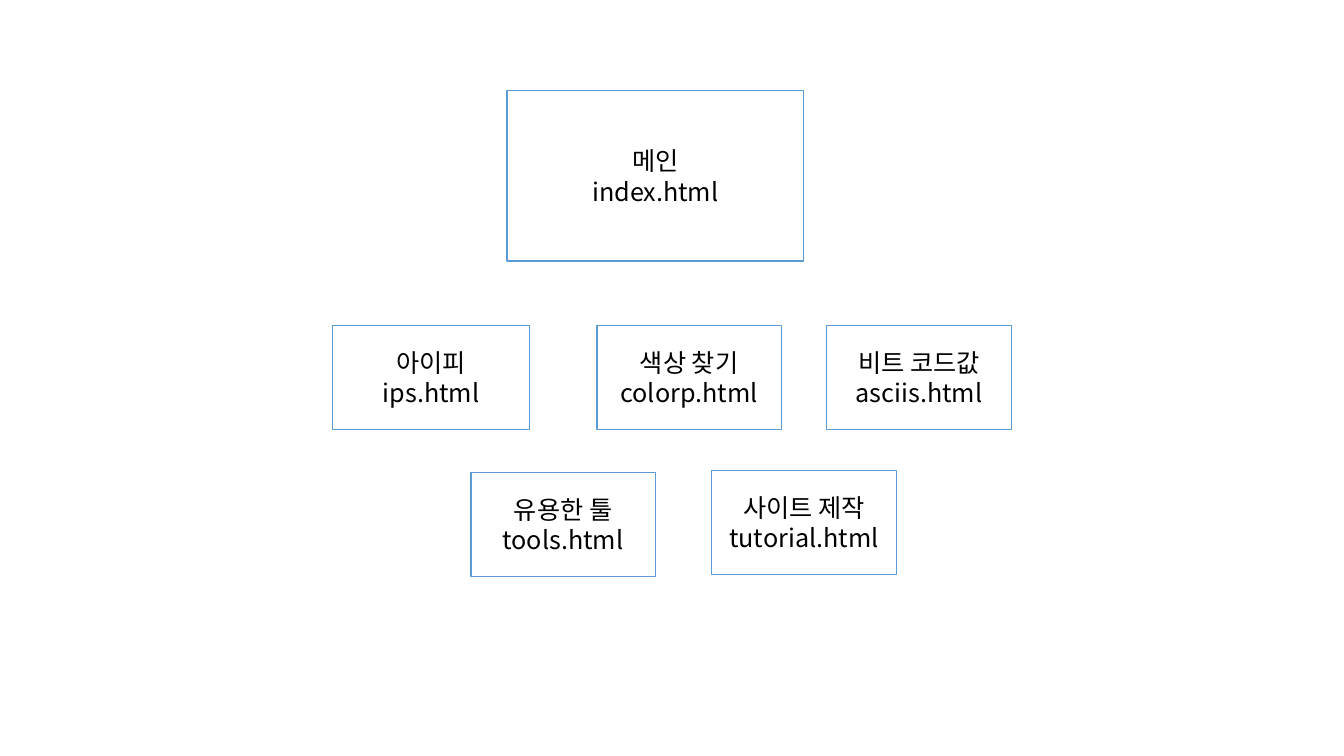
from lxml.etree import SubElement
from pptx import Presentation
from pptx.dml.color import RGBColor
from pptx.enum.shapes import MSO_SHAPE
from pptx.enum.text import MSO_ANCHOR, PP_ALIGN
from pptx.oxml.ns import qn
from pptx.util import Inches, Pt

COLORS = {"fill": "FFFFFF", "border": "5B9BD5", "text": "000000"}
FONT = "Noto Sans CJK KR"
PAGE_WIDTH, PAGE_HEIGHT = 1.83, 1.03
ROW_TOP = 3.23

MAIN_PAGE = ("메인", "index.html", (5.03, 0.9, 2.94, 1.69))
SUB_PAGES = [
    ("아이피", "ips.html", (3.3, ROW_TOP, 1.95, PAGE_HEIGHT)),
    ("색상 찾기", "colorp.html", (5.92, ROW_TOP, PAGE_WIDTH, PAGE_HEIGHT)),
    ("비트 코드값", "asciis.html", (8.2, ROW_TOP, PAGE_WIDTH, PAGE_HEIGHT)),
    ("유용한 툴", "tools.html", (4.67, 4.69, PAGE_WIDTH, PAGE_HEIGHT)),
    ("사이트 제작", "tutorial.html", (7.06, 4.67, PAGE_WIDTH, PAGE_HEIGHT)),
]


def color(name):
    """Return the named colour."""
    return RGBColor.from_string(COLORS[name])


def format_paragraph(paragraph):
    """Centre a paragraph and set its Latin and Korean font."""
    paragraph.alignment = PP_ALIGN.CENTER
    paragraph.font.name = FONT
    paragraph.font.size = Pt(18)
    paragraph.font.color.rgb = color("text")
    properties = paragraph._p.pPr.find(qn("a:defRPr"))
    SubElement(properties, qn("a:ea"), typeface=FONT)


def add_page(slide, name, file_name, box):
    """Draw one site page as an outlined box with its name and file."""
    shape = slide.shapes.add_shape(MSO_SHAPE.RECTANGLE, *map(Inches, box))
    shape.shadow.inherit = False
    shape.fill.solid()
    shape.fill.fore_color.rgb = color("fill")
    shape.line.color.rgb = color("border")
    shape.line.width = Pt(1)
    frame = shape.text_frame
    frame.word_wrap = True
    frame.vertical_anchor = MSO_ANCHOR.MIDDLE
    frame.text = f"{name}\n{file_name}"
    for paragraph in frame.paragraphs:
        format_paragraph(paragraph)


def build_site_map(presentation):
    """Add the slide with the main page above its sub pages."""
    slide = presentation.slides.add_slide(presentation.slide_layouts[6])
    for name, file_name, box in [MAIN_PAGE, *SUB_PAGES]:
        add_page(slide, name, file_name, box)


presentation = Presentation()
presentation.slide_width = Inches(13.33)
presentation.slide_height = Inches(7.5)
build_site_map(presentation)
presentation.save("out.pptx")
